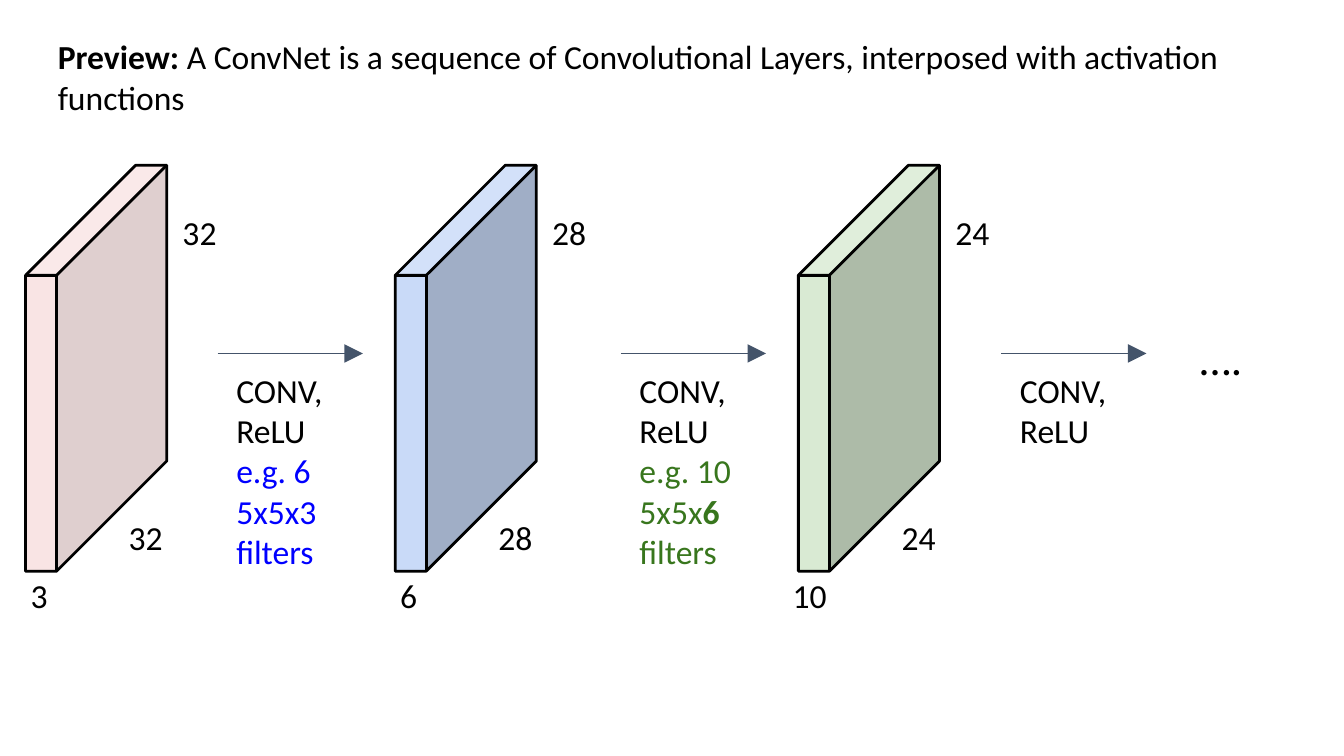
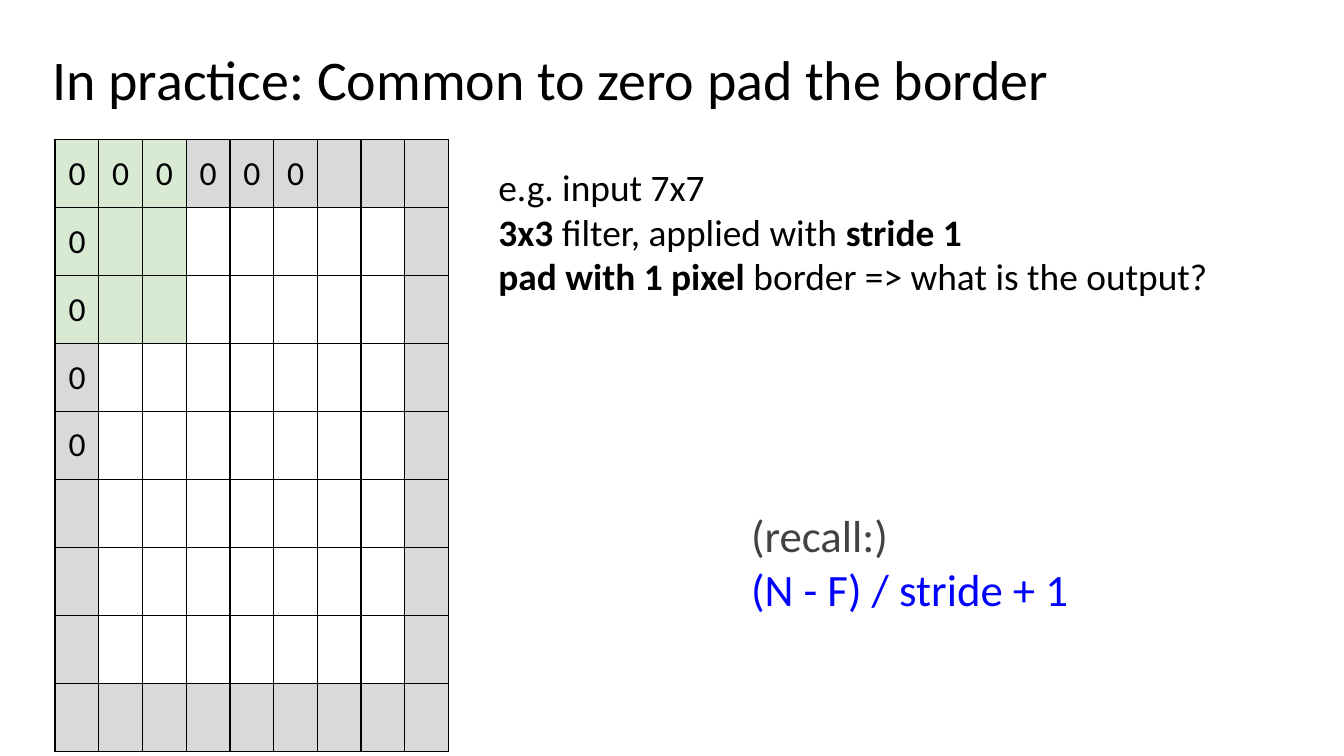
"""Build two slides on convolution layers and zero padding."""
from dataclasses import dataclass
from typing import NamedTuple

from lxml.etree import SubElement as Sub
from pptx import Presentation
from pptx.dml.color import RGBColor as Rgb
from pptx.enum.shapes import MSO_CONNECTOR as Link, MSO_SHAPE as Shape
from pptx.enum.text import MSO_ANCHOR as Anchor, MSO_AUTO_SIZE as Fit, PP_ALIGN as Align
from pptx.oxml import parse_xml as to_xml
from pptx.oxml.ns import nsdecls, qn
from pptx.util import Inches, Pt


@dataclass(frozen=True)
class Theme:
    """Hold the font, colours and type sizes."""
    font: str = "Calibri"
    ink: str = "000000"
    white: str = "FFFFFF"
    slate: str = "44546A"
    gray: str = "434343"
    blue: str = "0000FF"
    green: str = "38761D"
    pink: str = "F4CCCC"
    sky: str = "C9DAF8"
    mint: str = "D9EAD3"
    pad: str = "D9D9D9"
    body: int = 18
    note: int = 20
    large: int = 24
    head: int = 30
    edge: float = 0.75
    bold_edge: float = 1.5


T = Theme()


class Run(NamedTuple):
    """Hold a piece of text."""
    text: str
    bold: bool = False


class Para(NamedTuple):
    """Hold a line of runs."""
    runs: list[Run]
    size: int = T.body
    color: str = T.ink


class Box(NamedTuple):
    """Hold a place in inches."""
    left: float
    top: float
    width: float
    height: float


class Layer(NamedTuple):
    """Hold one block with its labels."""
    left: float
    fill: str
    side: str
    depth: str
    shift: float = -0.06
    alpha: int = 100


class Step(NamedTuple):
    """Hold one arrow and the filters under it."""
    left: float
    width: float
    paras: list[Para]


def line(text: str, size: int = T.body, color: str = T.ink) -> Para:
    """Make a plain line of text."""
    return Para([Run(text)], size, color)


CONV = [line("CONV,"), line("ReLU")]
LAYERS = [
    Layer(0.19, T.pink, "32", "3", alpha=52),
    Layer(2.94, T.sky, "28", "6"),
    Layer(5.94, T.mint, "24", "10", shift=-0.14),
]
STEPS = [
    Step(1.62, 1.08, CONV + [line("e.g. 6 5x5x3 filters", color=T.blue)]),
    Step(4.62, 1.16, CONV + [
        Para([Run("e.g. 10 5x5x"), Run("6 ", True), Run("filters")], color=T.green)]),
    Step(7.45, 1.08, CONV),
]


def style(para, item: Para) -> None:
    """Fill and format one paragraph."""
    para.alignment = Align.LEFT
    font = para.font
    font.name, font.size = T.font, Pt(item.size)
    font.color.rgb = Rgb.from_string(item.color)
    mixed = len({run.bold for run in item.runs}) > 1
    if not mixed and item.runs:
        font.bold = item.runs[0].bold
    for part in item.runs:
        run = para.add_run()
        run.text = part.text
        if mixed:
            run.font.bold = part.bold


def write(shape, box: Box, paras: list[Para], anchor=Anchor.TOP) -> None:
    """Place a shape and set its text."""
    shape.left, shape.top, shape.width, shape.height = map(Inches, box)
    frame = shape.text_frame
    frame.word_wrap, frame.auto_size = True, Fit.NONE
    frame.vertical_anchor = anchor
    frame.margin_left = frame.margin_right = Inches(0.1)
    frame.margin_top = frame.margin_bottom = Inches(0.1)
    for num, item in enumerate(paras):
        style(frame.add_paragraph() if num else frame.paragraphs[0], item)


def add_text(slide, box: Box, paras: list[Para], anchor=Anchor.TOP) -> None:
    """Add a text box."""
    write(slide.shapes.add_textbox(*map(Inches, box)), box, paras, anchor)


def add_slide(deck, box: Box, title: Para):
    """Add a slide with its title."""
    slide = deck.slides.add_slide(deck.slide_layouts[5])
    write(slide.shapes.title, box, [title])
    return slide


def add_layer(slide, item: Layer) -> None:
    """Draw a block and its three sizes."""
    cube = slide.shapes.add_shape(
        Shape.CUBE, *map(Inches, (item.left, 1.23, 1.05, 3.02)))
    cube.adjustments[0] = 0.78
    cube.shadow.inherit = False
    cube.fill.solid()
    cube.fill.fore_color.rgb = Rgb.from_string(item.fill)
    cube.line.color.rgb = Rgb.from_string(T.ink)
    cube.line.width = Pt(T.bold_edge)
    if item.alpha < 100:
        color = cube._element.spPr.find(qn("a:solidFill"))[0]
        Sub(color, qn("a:alpha"), val=str(item.alpha * 1000))
    for text, shift, top, height in (
            (item.side, 0.67, 3.75, 0.34),
            (item.side, 1.07, 1.48, 0.31),
            (item.depth, item.shift, 4.18, 0.2)):
        add_text(slide, Box(item.left + shift, top, 0.54, height), [line(text)])


def add_step(slide, item: Step) -> None:
    """Draw an arrow with text below."""
    y = Inches(2.63)
    arrow = slide.shapes.add_connector(
        Link.STRAIGHT, Inches(item.left), y, Inches(item.left + 1.08), y)
    arrow.line.color.rgb = Rgb.from_string(T.slate)
    arrow.line.width = Pt(T.edge)
    props = arrow._element.spPr
    Sub(props.find(qn("a:ln")), qn("a:tailEnd"), type="triangle", w="lg", len="lg")
    Sub(props, qn("a:effectLst"))
    add_text(slide, Box(item.left + 0.04, 2.65, item.width, 0.43), item.paras)


def shade(row: int, col: int, last: int) -> str:
    """Pick the fill of a grid cell."""
    if row < 3 and col < 3:
        return T.mint
    return T.pad if row in (0, last) or col in (0, last) else T.white


def add_grid(slide, count: int = 9) -> None:
    """Draw the padded input grid."""
    table = slide.shapes.add_table(
        count, count, *map(Inches, (0.41, 1.04, 2.93, 3.82))).table
    table.first_row = table.horz_banding = False
    for row in range(count):
        for col in range(count):
            cell = table.cell(row, col)
            cell.margin_left = cell.margin_right = Inches(0.1)
            cell.margin_top = cell.margin_bottom = Inches(0.1)
            cell.fill.solid()
            cell.fill.fore_color.rgb = Rgb.from_string(shade(row, col, count - 1))
            zero = (row == 0 and col < 6) or (col == 0 and row < 5)
            style(cell.text_frame.paragraphs[0], Para([Run("0")] if zero else []))
            props = cell._tc.get_or_add_tcPr()
            for num, side in enumerate("LRTB"):
                props.insert(num, to_xml(
                    f'<a:ln{side} {nsdecls("a")} w="{Pt(T.edge)}"><a:solidFill>'
                    f'<a:srgbClr val="{T.ink}"/></a:solidFill></a:ln{side}>'))


def draw_net(deck) -> None:
    """Build the slide with the chain of layers."""
    slide = add_slide(deck, Box(0.33, 0.17, 9.35, 0.8), Para([
        Run("Preview: ", True),
        Run("A ConvNet is a sequence of Convolutional Layers, "
            "interposed with activation functions")]))
    for layer in LAYERS:
        add_layer(slide, layer)
    for step in STEPS:
        add_step(slide, step)
    add_text(slide, Box(8.83, 2.36, 1.05, 0.39), [line("….", T.large)])


def draw_pad(deck) -> None:
    """Build the slide on zero padding."""
    slide = add_slide(deck, Box(0.29, 0.23, 9.06, 0.81),
                      line("In practice: Common to zero pad the border", T.head))
    add_grid(slide)
    add_text(slide, Box(3.61, 1.12, 6.39, 1.62), [
        line("e.g. input 7x7", T.note),
        Para([Run("3x3", True), Run(" filter, applied with "),
              Run("stride 1", True)], T.note),
        Para([Run("pad with 1 pixel", True),
              Run(" border => what is the output?")], T.note)])
    add_text(slide, Box(5.49, 3.51, 3.16, 1.34), [
        line("(recall:)", T.large, T.gray),
        line("(N - F) / stride + 1", T.large, T.blue)], Anchor.MIDDLE)


def main() -> None:
    """Build and save the deck."""
    deck = Presentation()
    deck.slide_width = Inches(10)
    deck.slide_height = deck.slide_width * 9 // 16
    draw_net(deck)
    draw_pad(deck)
    deck.save("out.pptx")


if __name__ == "__main__":
    main()
